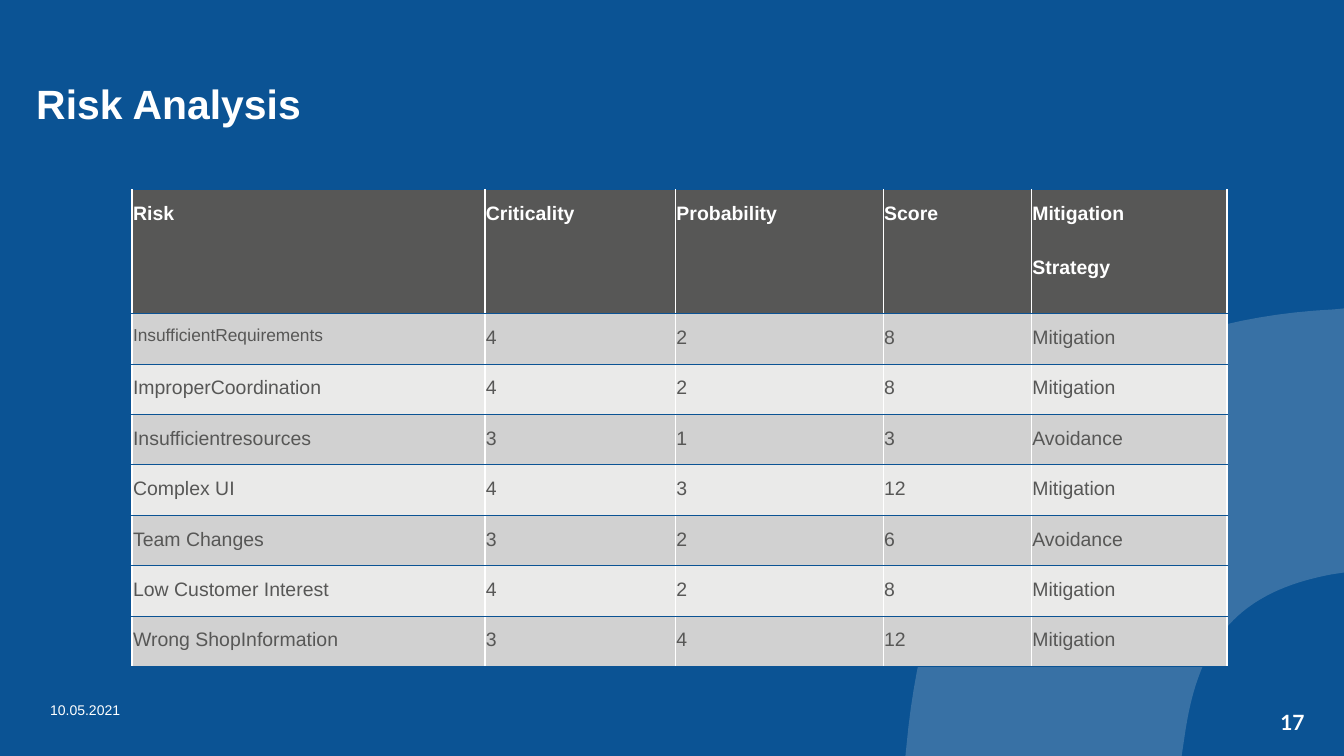
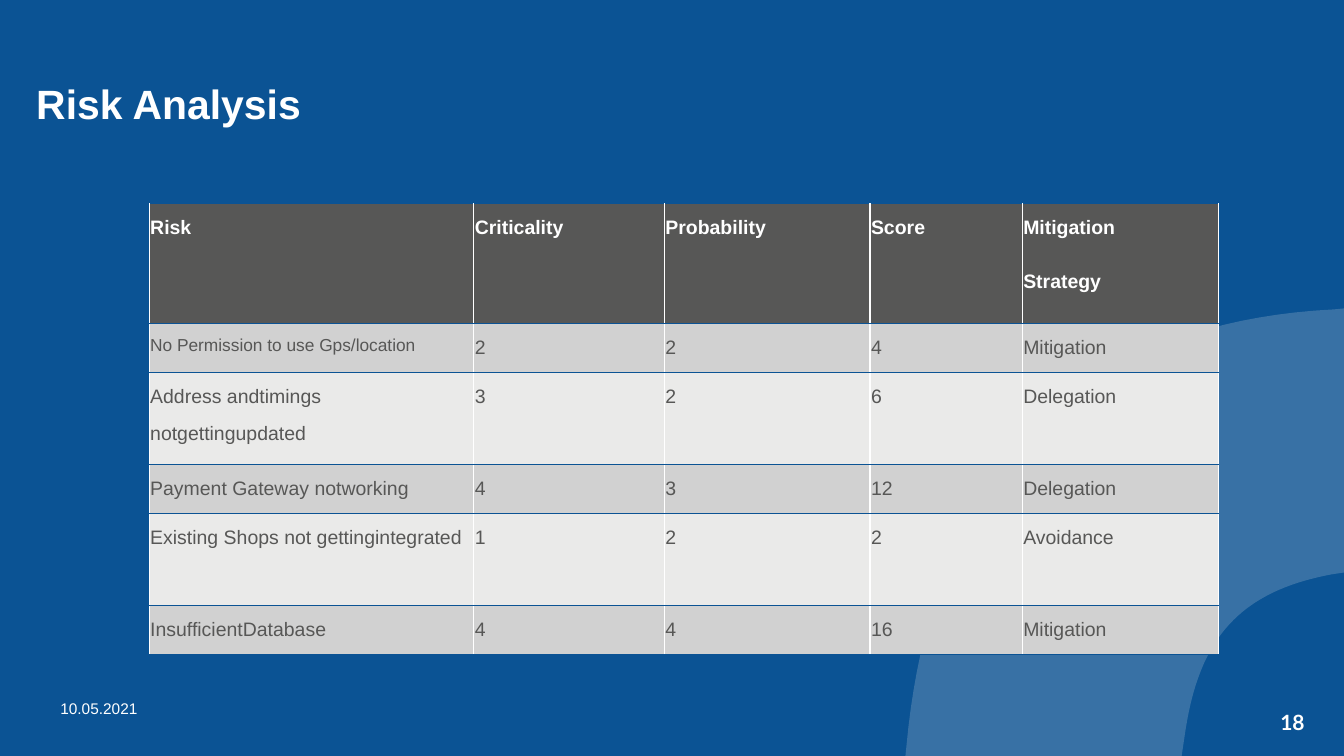
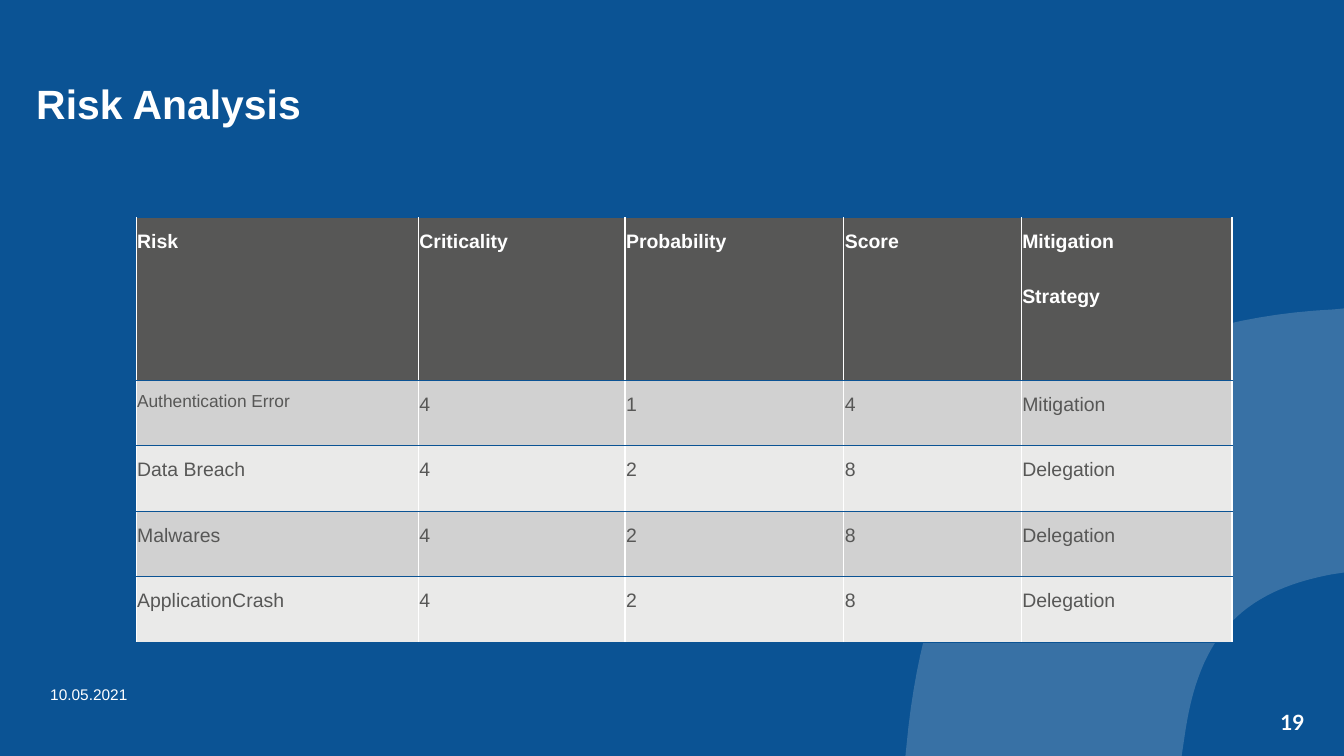
from dataclasses import dataclass

from lxml import etree
from pptx import Presentation
from pptx.dml.color import RGBColor
from pptx.enum import text
from pptx.oxml import ns
from pptx.util import Inches, Pt


@dataclass(frozen=True)
class Theme:
    blue: str = "0B5394"
    white: str = "FFFFFF"
    arc: str = "EEEDEB"
    ink: str = "575756"
    odd_row: str = "D1D1D1"
    even_row: str = "EAEAE9"
    body_font: str = "Arial"
    number_font: str = "Lato"
    title_size: float = 50.4
    cell_size: float = 24
    first_risk_size: float = 21.3
    number_size: float = 15


theme = Theme()
HEADER = ["Risk", "Criticality", "Probability", "Score", "Mitigation\nStrategy"]

risk_pages = [
    dict(
        number=17, left=1.31, top=1.88, date_at=(0.4, 6.91), date_size=10,
        columns=[3.5, 1.89, 2.06, 1.47, 1.94],
        heights=[1.23] + [0.5] * 7,
        risks=[
            ("InsufficientRequirements", 4, 2, 8, "Mitigation"),
            ("ImproperCoordination", 4, 2, 8, "Mitigation"),
            ("Insufficientresources", 3, 1, 3, "Avoidance"),
            ("Complex UI", 4, 3, 12, "Mitigation"),
            ("Team Changes", 3, 2, 6, "Avoidance"),
            ("Low Customer Interest", 4, 2, 8, "Mitigation"),
            ("Wrong ShopInformation", 3, 4, 12, "Mitigation"),
        ],
    ),
    dict(
        number=18, left=1.48, top=2.02, date_at=(0.5, 6.89), date_size=11,
        columns=[3.22, 1.89, 2.04, 1.51, 1.95],
        heights=[1.19, 0.48, 0.92, 0.48, 0.92, 0.48],
        risks=[
            ("No Permission to use Gps/location", 2, 2, 4, "Mitigation"),
            ("Address andtimings notgettingupdated", 3, 2, 6, "Delegation"),
            ("Payment Gateway notworking", 4, 3, 12, "Delegation"),
            ("Existing Shops not gettingintegrated", 1, 2, 2, "Avoidance"),
            ("InsufficientDatabase", 4, 4, 16, "Mitigation"),
        ],
    ),
    dict(
        number=19, left=1.35, top=2.16, date_at=(0.4, 6.75), date_size=11,
        columns=[2.8, 2.05, 2.17, 1.76, 2.09],
        heights=[1.61] + [0.65] * 4,
        risks=[
            ("Authentication Error", 4, 1, 4, "Mitigation"),
            ("Data Breach", 4, 2, 8, "Delegation"),
            ("Malwares", 4, 2, 8, "Delegation"),
            ("ApplicationCrash", 4, 2, 8, "Delegation"),
        ],
    ),
]


def style_text(frame, size, color, font=theme.body_font, bold=False, raised=False):
    """Format every run; raised text is a 1 % superscript, drawn at reduced size."""
    for para in frame.paragraphs:
        for span in para.runs:
            span.font.size = Pt(size)
            span.font.name = font
            span.font.bold = bold
            span.font.color.rgb = RGBColor.from_string(color)
            if raised:
                span.font._element.set("baseline", "1000")


def add_label(page, words, left, top, width, height, inset=None):
    box = page.shapes.add_textbox(Inches(left), Inches(top), Inches(width), Inches(height))
    frame = box.text_frame
    frame.text = words
    frame.word_wrap = True
    if inset is not None:
        frame.margin_left = frame.margin_right = Inches(inset)
        frame.margin_top = frame.margin_bottom = Inches(inset)
    return frame


deck = Presentation()
deck.slide_width, deck.slide_height = Inches(13.33), Inches(7.5)
blank = deck.slide_layouts[6]
pages = [deck.slides.add_slide(blank) for _ in risk_pages]

# Shared background and arc
backdrop = deck.slide_master.background.fill
backdrop.solid()
backdrop.fore_color.rgb = RGBColor.from_string(theme.blue)

inner_curve = [(13.2, 5.7), (12.25, 5.88), (11.88, 6.38), (11.75, 7.3)]
outer_curve = [(9.01, 7.21), (9.3, 4.73), (10.63, 3.2), (13.23, 3.07)]
STEPS = 40
sampled = []
for curve in (inner_curve, outer_curve):
    points = []
    for step in range(STEPS + 1):
        t = step / STEPS
        weights = [(1 - t) ** 3, 3 * t * (1 - t) ** 2, 3 * t * t * (1 - t), t ** 3]
        points.append(tuple(sum(w * p[axis] for w, p in zip(weights, curve)) for axis in (0, 1)))
    sampled.append(points)
inner, outer = sampled
outline = [(13.33, 5.68), *inner, (11.72, 7.5), (8.98, 7.5), *outer]
builder = pages[0].shapes.build_freeform(Inches(13.33), Inches(3.06), scale=1.0)
builder.add_line_segments([(Inches(x), Inches(y)) for x, y in outline], close=True)
arc = builder.convert_to_shape()
arc.shadow.inherit = False
arc.line.fill.background()
arc.fill.solid()
arc.fill.fore_color.rgb = RGBColor.from_string(theme.arc)
arc_color = arc.element.spPr.find(".//" + ns.qn("a:srgbClr"))
etree.SubElement(arc_color, ns.qn("a:alpha"), val="20000")
arc.element.nvSpPr.cNvPr.set("id", "100")
blank.shapes.element.append(arc.element)

for page, content in zip(pages, risk_pages):
    number = add_label(page, str(content["number"]), 12.69, 7.04, 0.25, 0.25, inset=0)
    number.word_wrap = False
    number.vertical_anchor = text.MSO_ANCHOR.MIDDLE
    number.paragraphs[0].alignment = text.PP_ALIGN.RIGHT
    style_text(number, theme.number_size, theme.white, theme.number_font, bold=True)

    title = add_label(page, "Risk Analysis", 0.31, 0.43, 4.64, 0.95, inset=0.05)
    title.vertical_anchor = text.MSO_ANCHOR.BOTTOM
    style_text(title, theme.title_size, theme.white, bold=True, raised=True)

    columns, heights = content["columns"], content["heights"]
    table = page.shapes.add_table(
        len(heights), len(columns), Inches(content["left"]), Inches(content["top"]),
        Inches(sum(columns)), Inches(sum(heights))).table
    table.horz_banding = False
    for column, width in zip(table.columns, columns):
        column.width = Inches(width)
    for row_index, values in enumerate([HEADER, *content["risks"]]):
        table.rows[row_index].height = Inches(heights[row_index])
        is_header = row_index == 0
        band = theme.odd_row if row_index % 2 else theme.even_row
        for column_index, value in enumerate(values):
            cell = table.cell(row_index, column_index)
            cell.margin_left = cell.margin_right = Inches(0.01)
            cell.margin_top = cell.margin_bottom = Inches(0.01)
            cell.fill.solid()
            cell.fill.fore_color.rgb = RGBColor.from_string(theme.ink if is_header else band)
            cell.text_frame.text = str(value)
            for para in cell.text_frame.paragraphs:
                para.space_before = Pt(12)
            is_first_risk = (row_index, column_index) == (1, 0)
            style_text(cell.text_frame,
                       theme.first_risk_size if is_first_risk else theme.cell_size,
                       theme.white if is_header else theme.ink,
                       bold=is_header, raised=True)
            properties = cell._tc.get_or_add_tcPr()
            for position, side in enumerate(("a:lnT", "a:lnB")):
                border = etree.Element(ns.qn(side), w=str(Pt(0.5)))
                fill = etree.SubElement(border, ns.qn("a:solidFill"))
                etree.SubElement(fill, ns.qn("a:srgbClr"), val=theme.blue)
                properties.insert(position, border)

    date = add_label(page, "10.05.2021", *content["date_at"], 6.7, 0.28)
    style_text(date, content["date_size"], theme.white)

deck.save("out.pptx")
